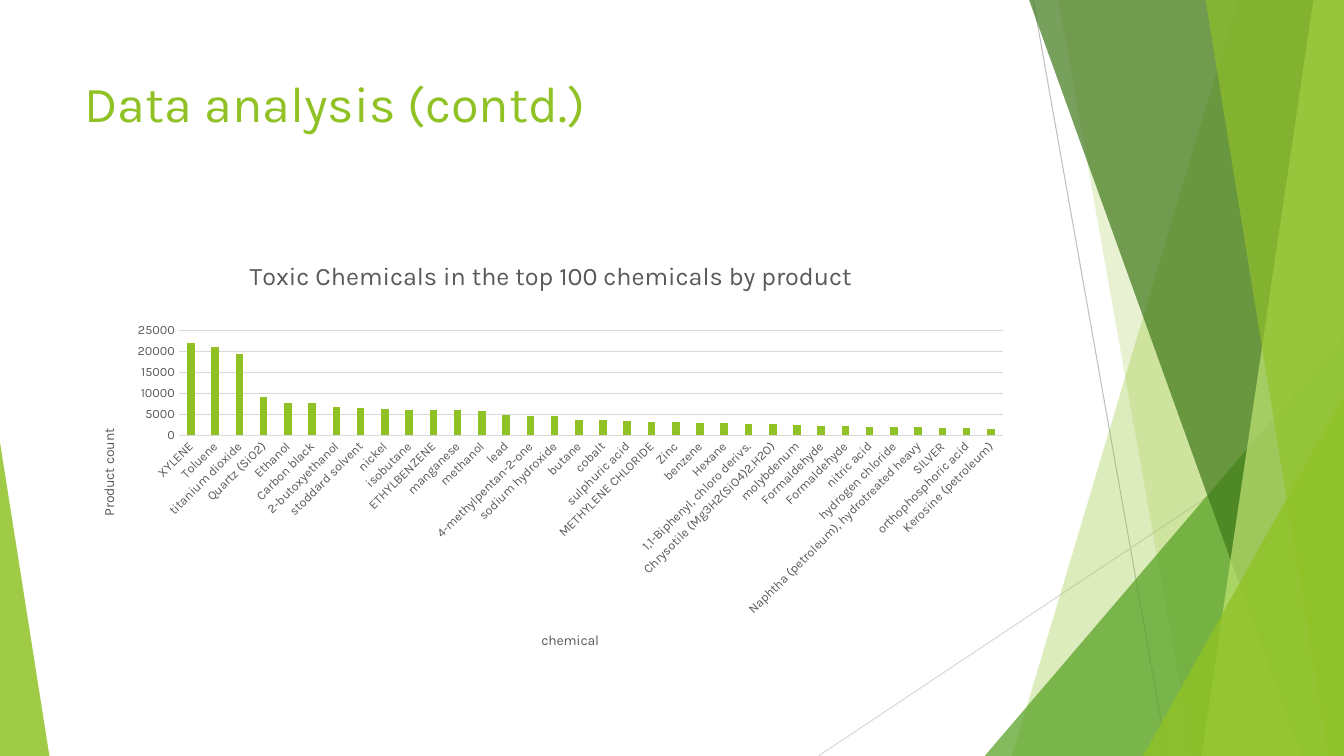
from dataclasses import dataclass

from lxml.etree import SubElement
from pptx import Presentation
from pptx.chart.data import CategoryChartData
from pptx.dml.color import RGBColor
from pptx.enum.chart import XL_CHART_TYPE, XL_TICK_MARK
from pptx.enum.shapes import MSO_CONNECTOR, MSO_SHAPE
from pptx.enum.text import MSO_ANCHOR, MSO_AUTO_SIZE, PP_ALIGN
from pptx.oxml.ns import qn
from pptx.util import Pt

FONT = "Karla"
WIDTH, HEIGHT = 960, 540
COLORS = {
    "lime": "90C226",
    "pale": "C0E474",
    "green": "54A021",
    "forest": "3F7819",
    "text": "595959",
    "silver": "BFBFBF",
    "grid": "D9D9D9",
}


@dataclass
class Ray:
    start: tuple[float, float]
    end: tuple[float, float]
    color: str


@dataclass
class Band:
    top_x: float
    bottom_x: float
    color: str
    opacity: int


@dataclass
class Wedge:
    left: float
    top: float
    width: float
    peak: float
    color: str
    opacity: int


DECORATION = [
    Ray((738, 0), (833.8, HEIGHT), "silver"),
    Ray((WIDTH, 290), (584.6, HEIGHT), "grid"),
    Band(884.2, 722.9, "lime", 30),
    Band(756, 851.8, "lime", 20),
    Wedge(703.4, 239.8, 256.6, 1, "green", 72),
    Band(735.1, 929.5, "forest", 70),
    Band(938.2, 858.2, "pale", 70),
    Band(861.1, 949, "lime", 65),
    Wedge(816.5, 283, 143.5, 1, "lime", 80),
    Wedge(0, 316, 35.3, 0, "lime", 85),
]

PRODUCT_COUNTS = [
    ("XYLENE", 21900), ("Toluene", 21100), ("titanium dioxide", 19400),
    ("Quartz (SiO2)", 9100), ("Ethanol", 7600), ("Carbon black", 7600),
    ("2-butoxyethanol", 6700), ("stoddard solvent", 6400), ("nickel", 6200),
    ("isobutane", 6100), ("ETHYLBENZENE", 6000), ("manganese", 6000),
    ("methanol", 5800), ("lead", 4800), ("4-methylpentan-2-one", 4700),
    ("sodium hydroxide", 4600), ("butane", 3700), ("cobalt", 3600),
    ("sulphuric acid", 3300), ("METHYLENE CHLORIDE", 3200), ("Zinc", 3200),
    ("benzene", 3000), ("Hexane", 3000),
    ("1,1-Biphenyl, chloro derivs.", 2800),
    ("Chrysotile (Mg3H2(SiO4)2.H2O)", 2600), ("molybdenum", 2500),
    ("Formaldehyde", 2300), ("Formaldehyde", 2300), ("nitric acid", 2100),
    ("hydrogen chloride", 2100),
    ("Naphtha (petroleum), hydrotreated heavy", 1900), ("SILVER", 1800),
    ("orthophosphoric acid", 1800), ("Kerosine (petroleum)", 1600),
]


def rgb(name: str) -> RGBColor:
    return RGBColor.from_string(COLORS[name])


def style_font(font, size: float, color: str) -> None:
    font.name, font.size, font.bold = FONT, Pt(size), False
    font.color.rgb = rgb(color)


def style_line(line, color: str) -> None:
    line.color.rgb = rgb(color)
    line.width = Pt(0.75)


def draw_ray(page, ray: Ray) -> None:
    connector = page.shapes.add_connector(
        MSO_CONNECTOR.STRAIGHT, *(Pt(n) for n in ray.start + ray.end))
    style_line(connector.line, ray.color)
    SubElement(connector.element.spPr, qn("a:effectLst"))


def paint(shape, color: str, opacity: int) -> None:
    shape.shadow.inherit = False
    shape.fill.solid()
    shape.fill.fore_color.rgb = rgb(color)
    shape.line.fill.background()
    tint = next(shape.element.spPr.iter(qn("a:srgbClr")))
    SubElement(tint, qn("a:alpha")).set("val", str(opacity * 1000))


def draw_band(page, band: Band) -> None:
    builder = page.shapes.build_freeform(Pt(band.top_x), 0)
    corners = [(WIDTH, 0), (WIDTH, HEIGHT), (band.bottom_x, HEIGHT)]
    builder.add_line_segments([(Pt(x), Pt(y)) for x, y in corners])
    paint(builder.convert_to_shape(), band.color, band.opacity)


def draw_wedge(page, wedge: Wedge) -> None:
    triangle = page.shapes.add_shape(
        MSO_SHAPE.ISOSCELES_TRIANGLE, Pt(wedge.left), Pt(wedge.top),
        Pt(wedge.width), Pt(HEIGHT - wedge.top))
    triangle.adjustments[0] = wedge.peak
    paint(triangle, wedge.color, wedge.opacity)


def place(parent, index: int, **fractions: float) -> None:
    layout = parent.find(qn("c:layout"))
    if layout is None:
        layout = SubElement(parent, qn("c:layout"))
        parent.insert(index, layout)
    manual = SubElement(layout, qn("c:manualLayout"))
    settings = {"xMode": "edge", "yMode": "edge", **fractions}
    if "w" in fractions:
        settings = {"layoutTarget": "inner", **settings}
    for name, value in settings.items():
        SubElement(manual, qn(f"c:{name}")).set("val", str(value))


def rotate(element, degrees: int) -> None:
    body = next(element.iter(qn("a:bodyPr")))
    body.set("rot", str(degrees * 60000))
    body.set("vert", "horz")


def write_title(title, text: str, size: float, x: float, y: float) -> None:
    title.text_frame.text = text
    style_font(title.text_frame.paragraphs[0].runs[0].font, size, "text")
    place(title._element, 1, x=x, y=y)


def draw_chart(page) -> None:
    data = CategoryChartData()
    data.categories = [name for name, _ in PRODUCT_COUNTS]
    data.add_series("Series 1", [count for _, count in PRODUCT_COUNTS])
    chart = page.shapes.add_chart(
        XL_CHART_TYPE.COLUMN_CLUSTERED, Pt(53.3), Pt(170), Pt(676.8),
        Pt(305.3), data).chart
    style_font(chart.font, 10, "text")
    chart.has_legend = False
    write_title(chart.chart_title,
                "Toxic Chemicals in the top 100 chemicals by product",
                18, 0.18, 0.04)
    plot = chart.plots[0]
    plot.vary_by_categories = False
    plot.gap_width, plot.overlap = 219, -27
    bars = plot.series[0].format.fill
    bars.solid()
    bars.fore_color.rgb = rgb("lime")
    place(plot._element.getparent(), 0, x=0.11, y=0.216, w=0.87, h=0.246)

    names, counts = chart.category_axis, chart.value_axis
    for axis in (names, counts):
        axis.major_tick_mark = axis.minor_tick_mark = XL_TICK_MARK.NONE
        style_font(axis.tick_labels.font, 9, "text")
    rotate(names._element.find(qn("c:txPr")), -45)
    style_line(names.format.line, "grid")
    write_title(names.axis_title, "chemical", 10, 0.49, 0.915)
    counts.minimum_scale, counts.maximum_scale = 0, 25000
    counts.major_unit = 5000
    counts.format.line.fill.background()
    style_line(counts.major_gridlines.format.line, "grid")
    write_title(counts.axis_title, "Product count", 10, 0.024, 0.44)
    rotate(counts.axis_title._element, -90)


def write_heading(page) -> None:
    heading = page.shapes.title
    heading.left, heading.top = Pt(53.3), Pt(48)
    heading.width, heading.height = Pt(676.8), Pt(104)
    frame = heading.text_frame
    frame.text = "Data analysis (contd.)"
    frame.word_wrap = True
    frame.auto_size = MSO_AUTO_SIZE.NONE
    frame.vertical_anchor = MSO_ANCHOR.TOP
    para = frame.paragraphs[0]
    para.alignment = PP_ALIGN.LEFT
    style_font(para.runs[0].font, 36, "lime")


deck = Presentation()
deck.slide_width, deck.slide_height = Pt(WIDTH), Pt(HEIGHT)
page = deck.slides.add_slide(deck.slide_layouts[5])
painters = {Ray: draw_ray, Band: draw_band, Wedge: draw_wedge}
for item in DECORATION:
    painters[type(item)](page, item)
write_heading(page)
draw_chart(page)
deck.save("out.pptx")
